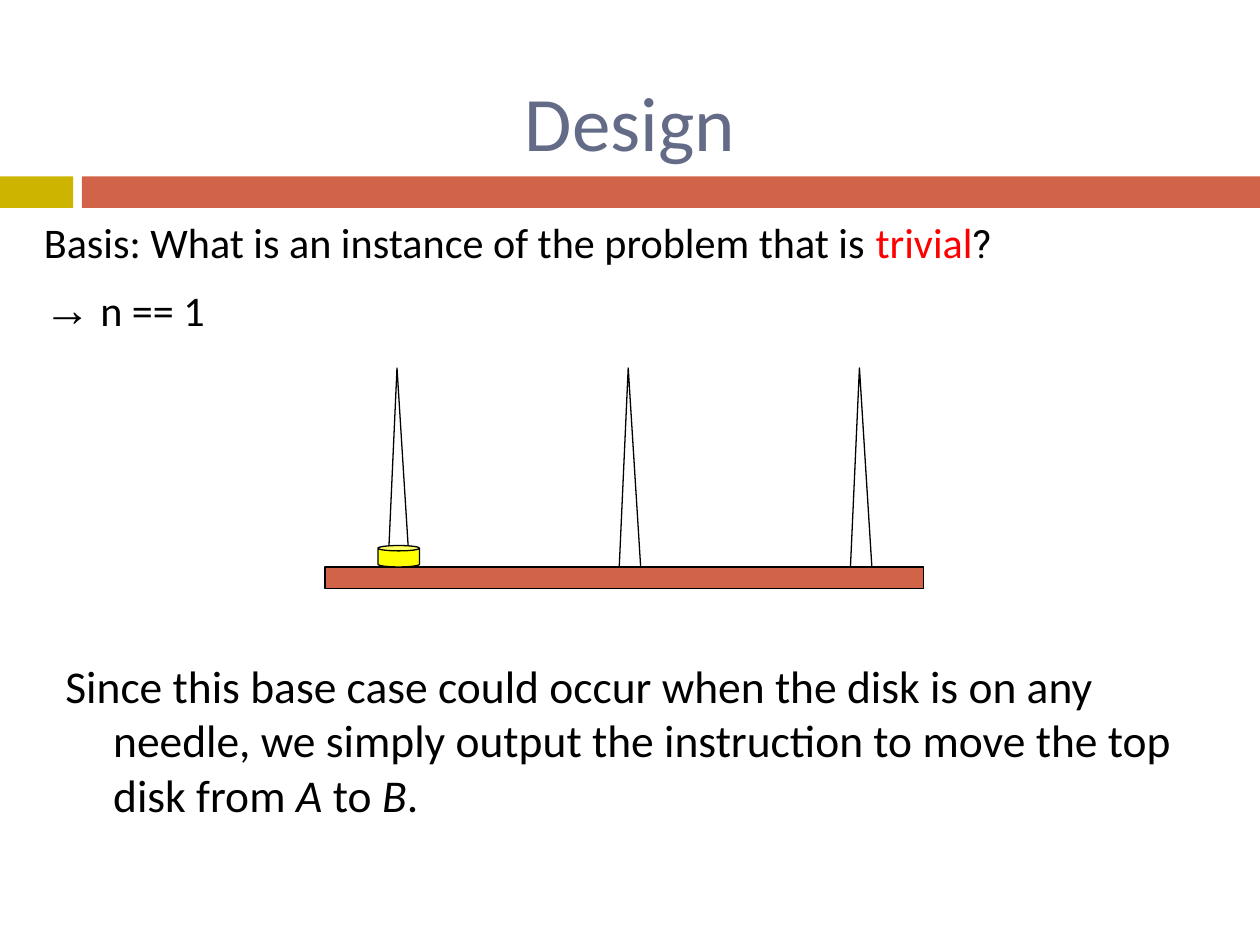
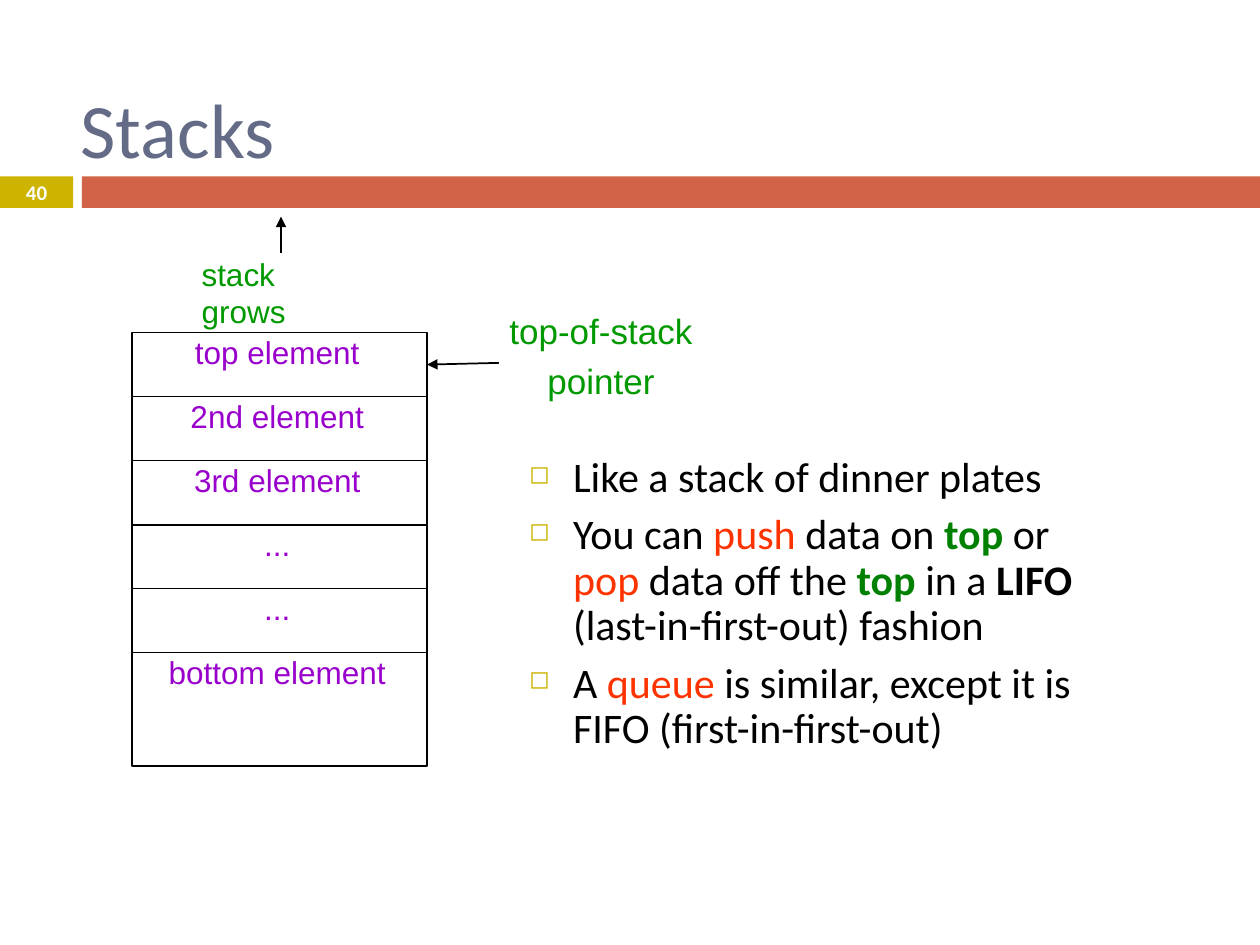
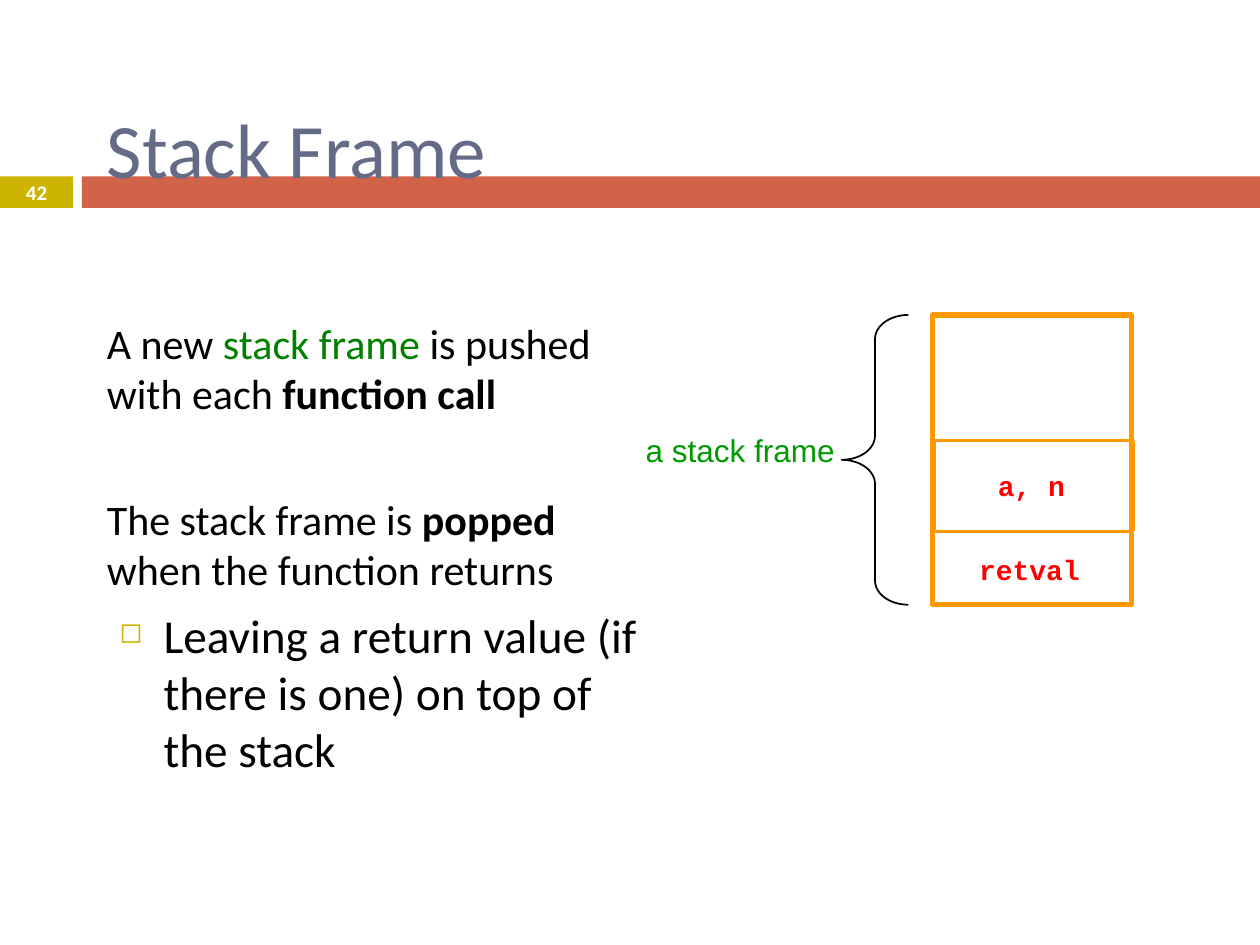
from dataclasses import dataclass

from lxml.etree import SubElement
from pptx import Presentation
from pptx.dml.color import RGBColor
from pptx.enum.shapes import MSO_CONNECTOR, MSO_SHAPE
from pptx.enum.text import MSO_ANCHOR, PP_ALIGN
from pptx.oxml.ns import qn
from pptx.util import Inches, Pt

COLS, ROWS = 100, 75
WIDTH, HEIGHT = Inches(10), Inches(7.5)
DEFAULT_INSETS = (0.1, 0.05, 0.1, 0.05)
BODY_INSETS = (0.1, 0.05, 0.14, 0.05)
LABEL_INSETS = (0, 0, 0.04, 0)


@dataclass(frozen=True)
class Theme:
    font: str = "Calibri"
    label_font: str = "Arial"
    code_font: str = "Courier New"
    title_size: float = 44
    body_size: float = 24
    label_size: float = 18
    code_size: float = 16
    number_size: float = 11.9
    title: str = "646B86"
    band: str = "D16349"
    accent: str = "CCB400"
    black: str = "000000"
    white: str = "FFFFFF"
    red: str = "FF0000"
    orange_red: str = "FF3300"
    green: str = "008000"
    label: str = "009900"
    element: str = "9900CC"
    frame: str = "FF9900"
    disk: str = "FFFF00"


T = Theme()
LABEL = dict(font=T.label_font, size=T.label_size, color=T.label)
ELEMENT = {**LABEL, "color": T.element}
CODE = dict(font=T.code_font, size=T.code_size, color=T.red, bold=True)
BOLD = dict(bold=True)
ITALIC = dict(italic=True)


def col(n):
    return int(WIDTH * n / COLS)


def row(n):
    return int(HEIGHT * n / ROWS)


def rgb(value):
    return RGBColor.from_string(value)


class Deck:
    """Holds the presentation, its theme and the slide being drawn."""

    def __init__(self, theme):
        self.theme = theme
        self.prs = Presentation()
        self.prs.slide_width, self.prs.slide_height = WIDTH, HEIGHT
        self.slide = None

    def new_slide(self, title, box, align=PP_ALIGN.LEFT, number=None):
        t = self.theme
        self.slide = self.prs.slides.add_slide(self.prs.slide_layouts[6])
        self.shape(MSO_SHAPE.RECTANGLE, (0, 14, 5.8, 2.5), fill=t.accent)
        self.shape(MSO_SHAPE.RECTANGLE, (6.5, 14, 93.5, 2.5), fill=t.band)
        self.text(box, title, BODY_INSETS if align == PP_ALIGN.LEFT else DEFAULT_INSETS,
                  anchor=MSO_ANCHOR.MIDDLE, align=align, size=t.title_size, color=t.title)
        if number:
            self.text((0, 13.9, 5.8, 2.7), number, anchor=MSO_ANCHOR.MIDDLE,
                      align=PP_ALIGN.CENTER, size=t.number_size, color=t.white, bold=True)

    def shape(self, kind, box, fill=None, line=None, width=0.75, adj=None):
        x, y, w, h = box
        sp = self.slide.shapes.add_shape(kind, col(x), row(y), col(w), row(h))
        sp.shadow.inherit = False
        if fill:
            sp.fill.solid()
            sp.fill.fore_color.rgb = rgb(fill)
        else:
            sp.fill.background()
        if line:
            sp.line.color.rgb = rgb(line)
            sp.line.width = Pt(width)
        else:
            sp.line.fill.background()
        if adj is not None:
            sp.adjustments[0] = adj
        return sp

    def arrow(self, start, end, target=None, side=0):
        """Draw an arrow, joined to a side of the target if one is given."""
        cxn = self.slide.shapes.add_connector(
            MSO_CONNECTOR.STRAIGHT, col(start[0]), row(start[1]), col(end[0]), row(end[1]))
        if target is not None:
            cxn.end_connect(target, side)
        cxn.line.color.rgb = rgb(self.theme.black)
        cxn.line.width = Pt(1)
        SubElement(cxn.line._get_or_add_ln(), qn("a:tailEnd"), type="triangle")
        SubElement(cxn._element.spPr, qn("a:effectLst"))

    def text(self, box, text, insets=DEFAULT_INSETS, anchor=MSO_ANCHOR.TOP, wrap=True,
             align=PP_ALIGN.LEFT, **style):
        """Add a text box holding one string, one line per paragraph."""
        tf = self.text_frame(box, insets, anchor, wrap)
        self.fill_text(tf, text, align, **style)
        return tf

    def text_frame(self, box, insets=DEFAULT_INSETS, anchor=MSO_ANCHOR.TOP, wrap=True):
        x, y, w, h = box
        sp = self.slide.shapes.add_textbox(col(x), row(y), col(w), row(h))
        self.set_frame(sp.text_frame, insets, anchor, wrap)
        return sp.text_frame

    def set_frame(self, tf, insets, anchor, wrap=True):
        tf.margin_left, tf.margin_top, tf.margin_right, tf.margin_bottom = map(Inches, insets)
        tf.vertical_anchor = anchor
        tf.word_wrap = wrap

    def fill_text(self, tf, text, align, **style):
        tf.text = text
        for p in tf.paragraphs:
            p.alignment = align
            for r in p.runs:
                self.style_run(r, **style)

    def style_run(self, r, font=None, size=None, color=None, bold=False, italic=False):
        t = self.theme
        r.font.name = font or t.font
        r.font.size = Pt(size or t.body_size)
        r.font.color.rgb = rgb(color or t.black)
        r.font.bold = bold
        r.font.italic = italic

    def paragraph(self, tf, runs, size=None, left=0, hang=0, before=7, spacing=None,
                  bullet=False):
        """Add a paragraph; each run is a string or a (string, style) pair."""
        p = tf.paragraphs[0] if not tf.text else tf.add_paragraph()
        p.space_before = Pt(before)
        if spacing:
            p.line_spacing = spacing
        for item in runs:
            words, style = (item, {}) if isinstance(item, str) else item
            r = p.add_run()
            r.text = words
            self.style_run(r, **{"size": size, **style})
        pPr = p._p.get_or_add_pPr()
        pPr.set("marL", str(Inches(left)))
        pPr.set("indent", str(-Inches(hang)))
        if bullet:
            clr = SubElement(pPr, qn("a:buClr"))
            SubElement(clr, qn("a:srgbClr"), val=self.theme.accent)
            SubElement(pPr, qn("a:buSzPct"), val="60000")
            SubElement(pPr, qn("a:buChar"), char="◻")

    def cell(self, box, text):
        """Draw one outlined stack element with its text at the top."""
        sp = self.shape(MSO_SHAPE.RECTANGLE, box, line=self.theme.black, width=1)
        self.set_frame(sp.text_frame, LABEL_INSETS, MSO_ANCHOR.TOP)
        self.fill_text(sp.text_frame, text, PP_ALIGN.CENTER, **ELEMENT)
        return sp


def design_slide(deck):
    deck.new_slide("Design", (10, 3.3, 80, 12.5), PP_ALIGN.CENTER)
    tf = deck.text_frame((2.5, 16.7, 95.8, 10))
    hanging = dict(size=24.1, left=0.35, hang=0.35)
    deck.paragraph(tf, ["Basis: What is an instance of the problem that is ",
                        ("trivial", dict(color=T.red)),
                        ("?", dict(font="Roboto", size=22.2))], **hanging)
    deck.paragraph(tf, [("→", dict(font=T.label_font, size=26.8)), " n == 1"], **hanging)

    tf = deck.text_frame((4.2, 51.7, 93.3, 10))
    deck.paragraph(tf, ["Since this base case could occur when the disk is on any needle, "
                        "we simply output the instruction to move the top disk from ",
                        ("A ", ITALIC), "to ", ("B", ITALIC), "."],
                   size=26, left=0.38, hang=0.38)

    for i in range(3):
        deck.shape(MSO_SHAPE.ISOSCELES_TRIANGLE, (30.8 + 18.35 * i, 29.2, 1.7, 15.8),
                   T.white, T.black, adj=0.42)
    deck.shape(MSO_SHAPE.RECTANGLE, (25.8, 45, 47.5, 1.7), T.band, T.black)
    deck.shape(MSO_SHAPE.CAN, (30, 43.3, 3.3, 1.7), T.disk, T.black, adj=0.25)


def stacks_slide(deck):
    deck.new_slide("Stacks", (5.4, 0, 90.9, 20.2), number="40")
    tf = deck.text_frame((41, 35.7, 48.1, 29.3), BODY_INSETS)
    push, pop, queue = ((word, dict(color=T.orange_red)) for word in ("push", "pop", "queue"))
    top = ("top ", dict(color=T.green, bold=True))
    for runs in (
        ["Like a stack of dinner plates"],
        ["You can ", push, " data on ", top, "or ", pop, " data off the ", top, "in a ",
         ("LIFO", BOLD), " (last-in-first-out) fashion"],
        ["A ", queue, " is similar, except it is FIFO (first-in-first-out)"],
    ):
        deck.paragraph(tf, runs, left=0.35, hang=0.35, spacing=0.9, bullet=True)

    names = ["top element", "2nd element", "3rd element", "...", "...", "bottom element"]
    pitch = 5.08
    cells = [deck.cell((10.5, 26.4 + pitch * i, 23.4, 9 if i == len(names) - 1 else pitch), name)
             for i, name in enumerate(names)]

    tf = deck.text((39.8, 24.6, 16.2, 8.1), "top-of-stack\npointer", LABEL_INSETS, wrap=False,
                   align=PP_ALIGN.CENTER, **{**LABEL, "size": 20})
    tf.paragraphs[1].space_before = Pt(4.5)
    deck.arrow((39.6, 28.8), (33.9, 28.9), cells[0], 3)
    deck.text((16, 20.2, 13.3, 2.8), "stack grows", (0, 0, 0.1, 0), **LABEL)
    deck.arrow((22.3, 20.1), (22.3, 17.2))


def stack_frame_slide(deck):
    deck.new_slide("Stack Frame", (7.5, 1.2, 85, 21.1), number="42")
    tf = deck.text_frame((7.5, 24.7, 45, 47.7), BODY_INSETS)
    deck.paragraph(tf, ["A new ", ("stack frame ", dict(color=T.green)),
                        "is pushed with each ", ("function call", BOLD)])
    deck.paragraph(tf, ["The stack frame is ", ("popped", BOLD), " when the function returns"],
                   before=43)
    deck.paragraph(tf, ["Leaving a return value (if there is one) on top of the stack"],
                   size=27, left=0.45, hang=0.35, bullet=True)

    deck.shape(MSO_SHAPE.LEFT_BRACE, (66.8, 25, 5.3, 23), line=T.black, width=1, adj=0.36)
    deck.text((48.6, 34.2, 20.7, 4), "a stack frame", LABEL_INSETS, wrap=False,
              align=PP_ALIGN.CENTER, **LABEL)
    for x, y, h, width in ((74, 25, 23, 3), (74, 42.2, 5.8, 1),
                           (74, 25, 9.9, 1), (74.2, 35, 7.1, 1)):
        deck.shape(MSO_SHAPE.RECTANGLE, (x, y, 15.8, h), line=T.frame, width=width)
    for box, name in (((77.4, 43.8, 9, 2.7), "retval"), ((78.9, 37.2, 6.3, 2.7), "a, n")):
        deck.text(box, name, LABEL_INSETS, MSO_ANCHOR.MIDDLE, wrap=False,
                  align=PP_ALIGN.CENTER, **CODE)


def main():
    deck = Deck(T)
    design_slide(deck)
    stacks_slide(deck)
    stack_frame_slide(deck)
    deck.prs.save("out.pptx")


if __name__ == "__main__":
    main()
